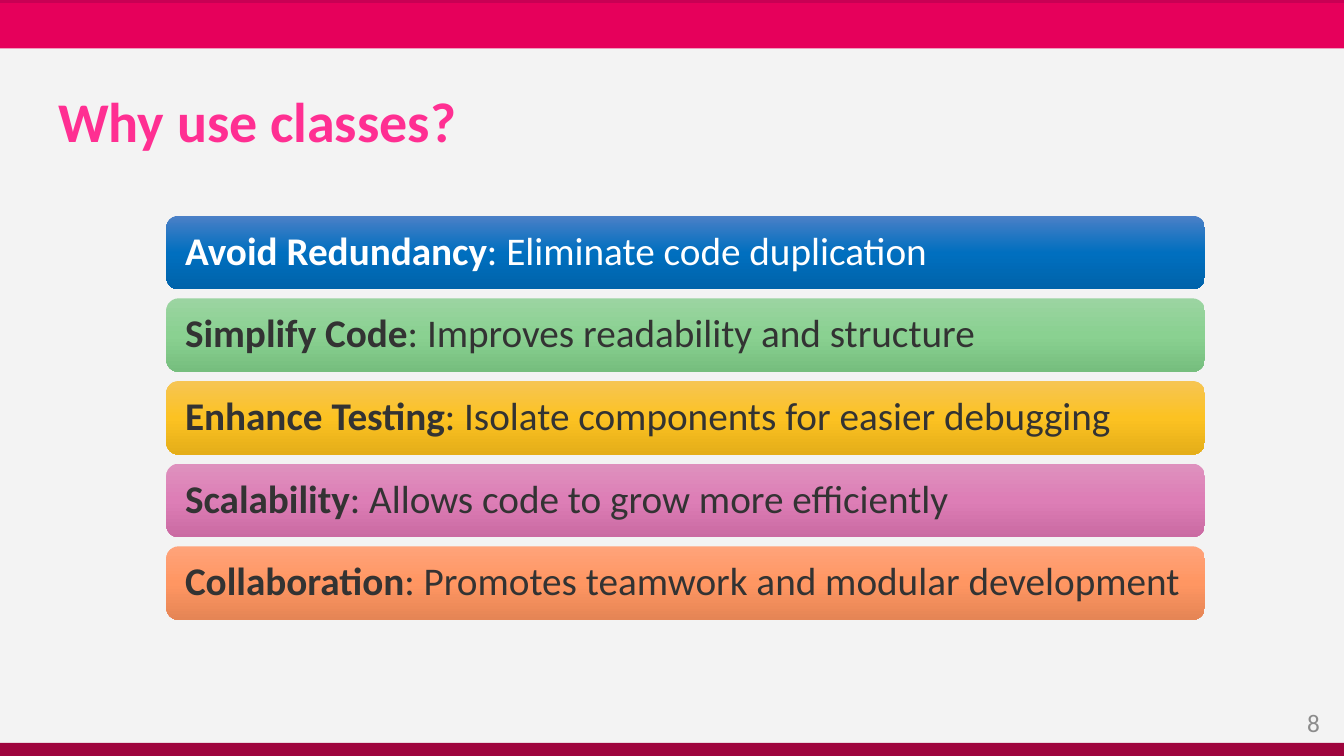
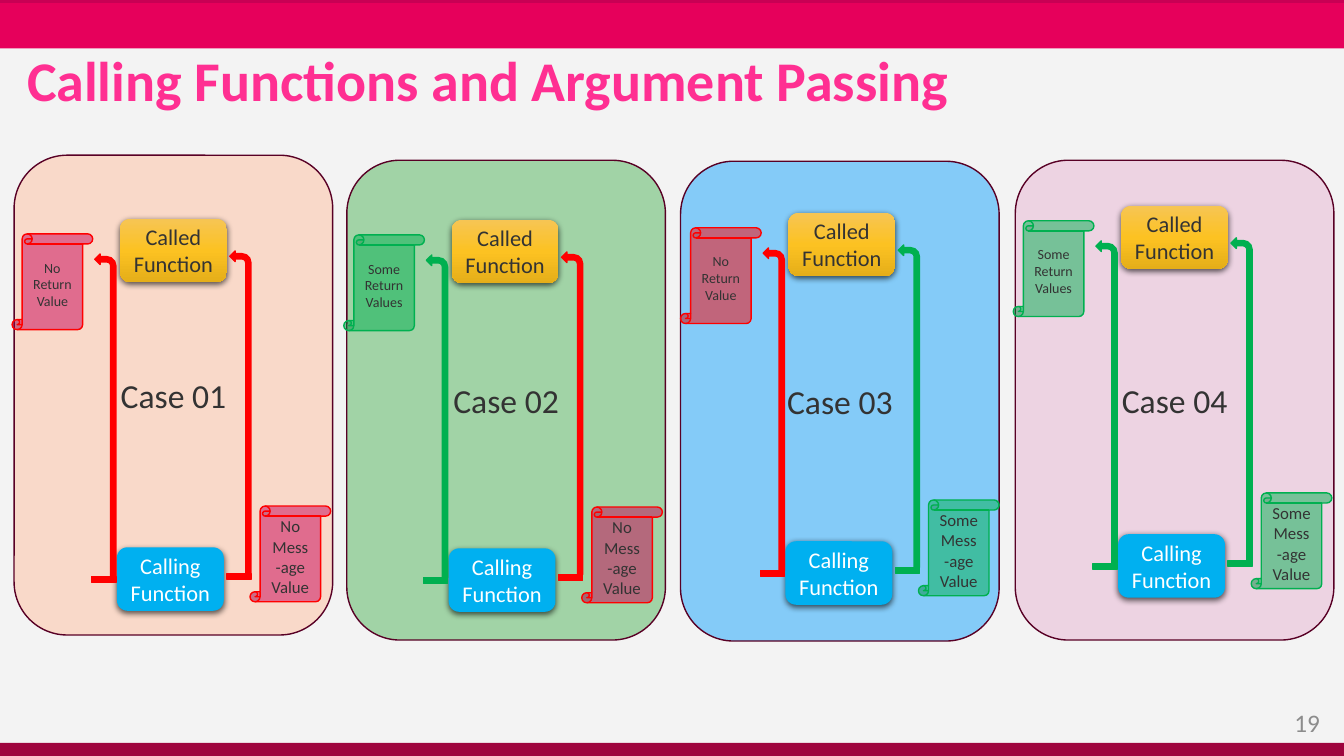
"""Build two lesson slides: reasons to use classes, and four ways to call a function."""
import copy

import lxml.etree
import pptx
import pptx.dml.color
import pptx.enum.shapes
import pptx.enum.text
import pptx.oxml.ns
import pptx.util

Inches = pptx.util.Inches
Pt = pptx.util.Pt
SHAPE = pptx.enum.shapes.MSO_SHAPE
ALIGN = pptx.enum.text.PP_ALIGN
ANCHOR = pptx.enum.text.MSO_ANCHOR

SLIDE_WIDTH, SLIDE_HEIGHT = 13.33, 7.5
FONT = "Calibri"
BACKGROUND, DARK, WHITE, GREY = "F3F3F3", "333333", "FFFFFF", "8C8C8C"
TITLE_COLOUR, PANEL_LINE, CALLING_FILL = "FF2F92", "580025", "00B0F0"
RED, GREEN, CRIMSON = "FF0000", "00B050", "C80054"
YELLOW_GRADIENT = ("F6C554", "FCC222", "E5AE19")

BANDS = [
    ((0, 0, SLIDE_WIDTH, 0.48), "E6005B"),
    ((0, 0, SLIDE_WIDTH, 0.03), "C80054"),
    ((0, 7.37, SLIDE_WIDTH, 0.13), "9E043D"),
]
TITLE_STYLE = {"size": Pt(40), "bold": True}

REASONS = [
    ("Avoid Redundancy", ": Eliminate code duplication", ("4B80C7", "006FBF", "0063AA"), WHITE),
    ("Simplify Code", ": Improves readability and structure", ("9BD4A1", "8AD191", "76BE7E"), DARK),
    ("Enhance Testing", ": Isolate components for easier debugging", YELLOW_GRADIENT, DARK),
    ("Scalability", ": Allows code to grow more efficiently", ("DE91BE", "DD7EB6", "CA6AA2"), DARK),
    ("Collaboration", ": Promotes teamwork and modular development", ("FFA37A", "FF9662", "E58555"), DARK),
]
BAR_LEFT, BAR_TOP, BAR_WIDTH, BAR_HEIGHT, BAR_PITCH = 1.65, 2.14, 10.3, 0.73, 0.82

CASES = [
    {"name": "Case 01", "panel": (0.14, 1.54), "fill": "FFC0A1", "called": (1.19, 2.17),
     "returned": ("No Return Value", CRIMSON, RED), "message": ("No Mess-age Value", CRIMSON, RED)},
    {"name": "Case 02", "panel": (3.44, 1.59), "fill": "50B45B", "called": (4.48, 2.18),
     "returned": ("Some Return Values", GREEN, GREEN), "message": ("No Mess-age Value", CRIMSON, RED)},
    {"name": "Case 03", "panel": (6.75, 1.6), "fill": "16A4FD", "called": (7.82, 2.11),
     "returned": ("No Return Value", RED, RED), "message": ("Some Mess-age Value", GREEN, GREEN)},
    {"name": "Case 04", "panel": (10.07, 1.59), "fill": "E8B4D3", "called": (11.12, 2.04),
     "returned": ("Some Return Values", GREEN, GREEN), "message": ("Some Mess-age Value", GREEN, GREEN)},
]
PANEL_SIZE, BOX_SIZE, SCROLL_SIZE = (3.16, 4.76), (1.06, 0.63), (0.8, 0.95)
ARROW_SIZE, FOOT_SIZE = (0.21, 3.2), (0.24, 0.06)
CALLING_OFFSET = (-0.03, 3.26)
FOOT_OFFSET = (-0.03, 3.2)
FLOWS = [
    {"kind": "message", "arrow": (1.09, 0.32), "scroll": (1.29, 2.85), "size": 12},
    {"kind": "returned", "arrow": (-0.25, 0.35), "scroll": (-1.07, 0.15), "size": 10},
]


def rgb(value):
    return pptx.dml.color.RGBColor.from_string(value)


def apply_format(target, values):
    for name, value in values.items():
        setattr(target, name, value)


def add_drawing_element(parent, tag, **attributes):
    return lxml.etree.SubElement(parent, pptx.oxml.ns.qn(f"a:{tag}"), attributes)


def paint_gradient(shape, colours):
    shape.fill.gradient()
    shape.fill.gradient_angle = 270
    stop_list = shape.element.spPr.find(".//" + pptx.oxml.ns.qn("a:gsLst"))
    stop_list.insert(1, copy.deepcopy(stop_list[0]))
    for index, (stop, colour) in enumerate(zip(shape.fill.gradient_stops, colours)):
        stop.position = index / 2
        stop.color.rgb = rgb(colour)


def paint(shape, fill, opacity=100):
    if isinstance(fill, tuple):
        paint_gradient(shape, fill)
        return
    shape.fill.solid()
    shape.fill.fore_color.rgb = rgb(fill)
    if opacity < 100:
        colour = shape.element.spPr.find(".//" + pptx.oxml.ns.qn("a:srgbClr"))
        add_drawing_element(colour, "alpha", val=str(opacity * 1000))


def add_shadow(shape):
    effects = shape.element.spPr.find(pptx.oxml.ns.qn("a:effectLst"))
    shadow = add_drawing_element(effects, "outerShdw", blurRad=str(Pt(4.5)), dist=str(Pt(1.5)),
                                 dir="5400000", rotWithShape="0")
    colour = add_drawing_element(shadow, "srgbClr", val="000000")
    add_drawing_element(colour, "alpha", val="63000")


def write(shape, runs, colour, align=ALIGN.CENTER, spacing=1.0, **frame_format):
    frame = shape.text_frame
    apply_format(frame, {"word_wrap": True, "vertical_anchor": ANCHOR.MIDDLE, **frame_format})
    paragraph = frame.paragraphs[0]
    apply_format(paragraph, {"alignment": align, "line_spacing": spacing})
    for text, font_format in runs:
        run = paragraph.add_run()
        run.text = text
        apply_format(run.font, {"name": FONT, **font_format})
        run.font.color.rgb = rgb(colour)


def add_shape(slide, kind, box, fill, line=None, opacity=100):
    shape = slide.shapes.add_shape(kind, *map(Inches, box))
    shape.shadow.inherit = False
    paint(shape, fill, opacity)
    if line:
        shape.line.color.rgb = rgb(line)
        shape.line.width = Pt(1)
    else:
        shape.line.fill.background()
    return shape


def add_text(slide, box, text, colour, align, font_format, **text_format):
    text_box = slide.shapes.add_textbox(*map(Inches, box))
    write(text_box, [(text, font_format)], colour, align, **text_format)


def add_base_slide(presentation, title, title_position, number):
    slide = presentation.slides.add_slide(presentation.slide_layouts[6])
    slide.background.fill.solid()
    slide.background.fill.fore_color.rgb = rgb(BACKGROUND)
    for box, colour in BANDS:
        add_shape(slide, SHAPE.RECTANGLE, box, colour)
    add_text(slide, (10.94, 6.97, 2.25, 0.4), number, GREY, ALIGN.RIGHT, {"size": Pt(18)})
    add_text(slide, (*title_position, 12.36, 0.7), title, TITLE_COLOUR, ALIGN.LEFT, TITLE_STYLE, spacing=0.9)
    return slide


def add_reasons(slide):
    for index, (heading, detail, gradient, colour) in enumerate(REASONS):
        box = (BAR_LEFT, BAR_TOP + index * BAR_PITCH, BAR_WIDTH, BAR_HEIGHT)
        bar = add_shape(slide, SHAPE.ROUNDED_RECTANGLE, box, gradient)
        runs = [(heading, {"size": Pt(28), "bold": True}), (detail, {"size": Pt(28), "bold": False})]
        write(bar, runs, colour, ALIGN.LEFT, 0.9, margin_left=Inches(0.15), margin_right=Inches(0.15))


def shift(origin, offset):
    return origin[0] + offset[0], origin[1] + offset[1]


def add_function_box(slide, position, text, fill, colour):
    function_box = add_shape(slide, SHAPE.ROUNDED_RECTANGLE, (*position, *BOX_SIZE), fill)
    add_shadow(function_box)
    write(function_box, [(text, {"size": Pt(16)})], colour)


def add_flow(slide, called, flow, content):
    text, fill, line = content
    arrow_position = shift(called, flow["arrow"])
    arrow = add_shape(slide, SHAPE.BENT_ARROW, (*arrow_position, *ARROW_SIZE), line, line)
    arrow.element.spPr.get_or_add_xfrm().set("flipH", "1")
    foot_position = shift(arrow_position, FOOT_OFFSET)
    add_shape(slide, SHAPE.RECTANGLE, (*foot_position, *FOOT_SIZE), line, line)
    scroll_box = (*shift(called, flow["scroll"]), *SCROLL_SIZE)
    scroll = add_shape(slide, SHAPE.VERTICAL_SCROLL, scroll_box, fill, line, 50)
    write(scroll, [(text, {"size": Pt(flow["size"])})], DARK)


def add_case(slide, case):
    panel_box = (*case["panel"], *PANEL_SIZE)
    panel = add_shape(slide, SHAPE.ROUNDED_RECTANGLE, panel_box, case["fill"], PANEL_LINE, 50)
    write(panel, [(case["name"], {"size": Pt(24)})], DARK)
    called = case["called"]
    add_function_box(slide, called, "Called Function", YELLOW_GRADIENT, DARK)
    add_function_box(slide, shift(called, CALLING_OFFSET), "Calling Function", CALLING_FILL, WHITE)
    for flow in FLOWS:
        add_flow(slide, called, flow, case[flow["kind"]])


def main():
    presentation = pptx.Presentation()
    presentation.slide_width = Inches(SLIDE_WIDTH)
    presentation.slide_height = Inches(SLIDE_HEIGHT)
    add_reasons(add_base_slide(presentation, "Why use classes?", (0.48, 0.88), "8"))
    calling_slide = add_base_slide(presentation, "Calling Functions and Argument Passing", (0.17, 0.48), "19")
    for case in CASES:
        add_case(calling_slide, case)
    presentation.save("out.pptx")


if __name__ == "__main__":
    main()
